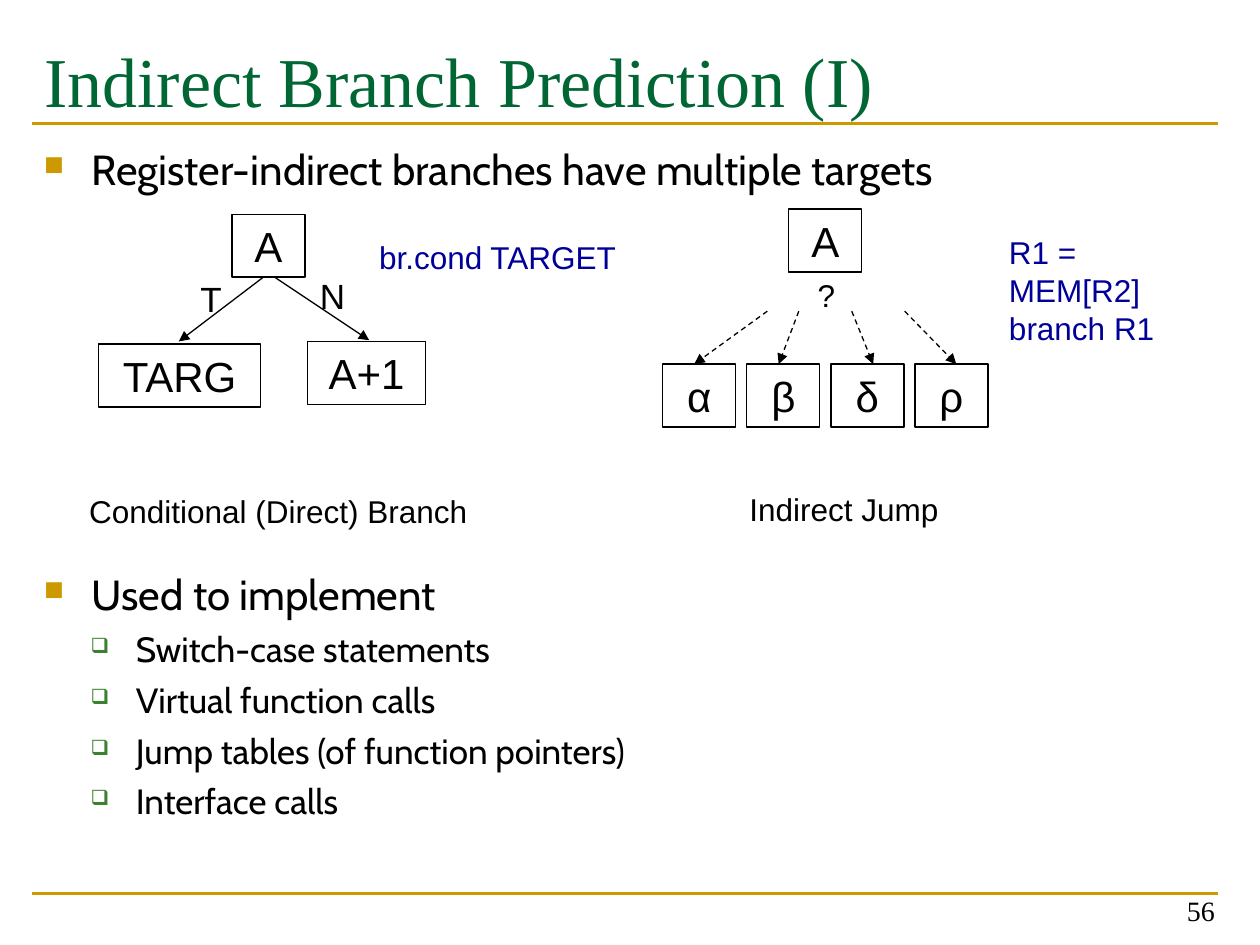
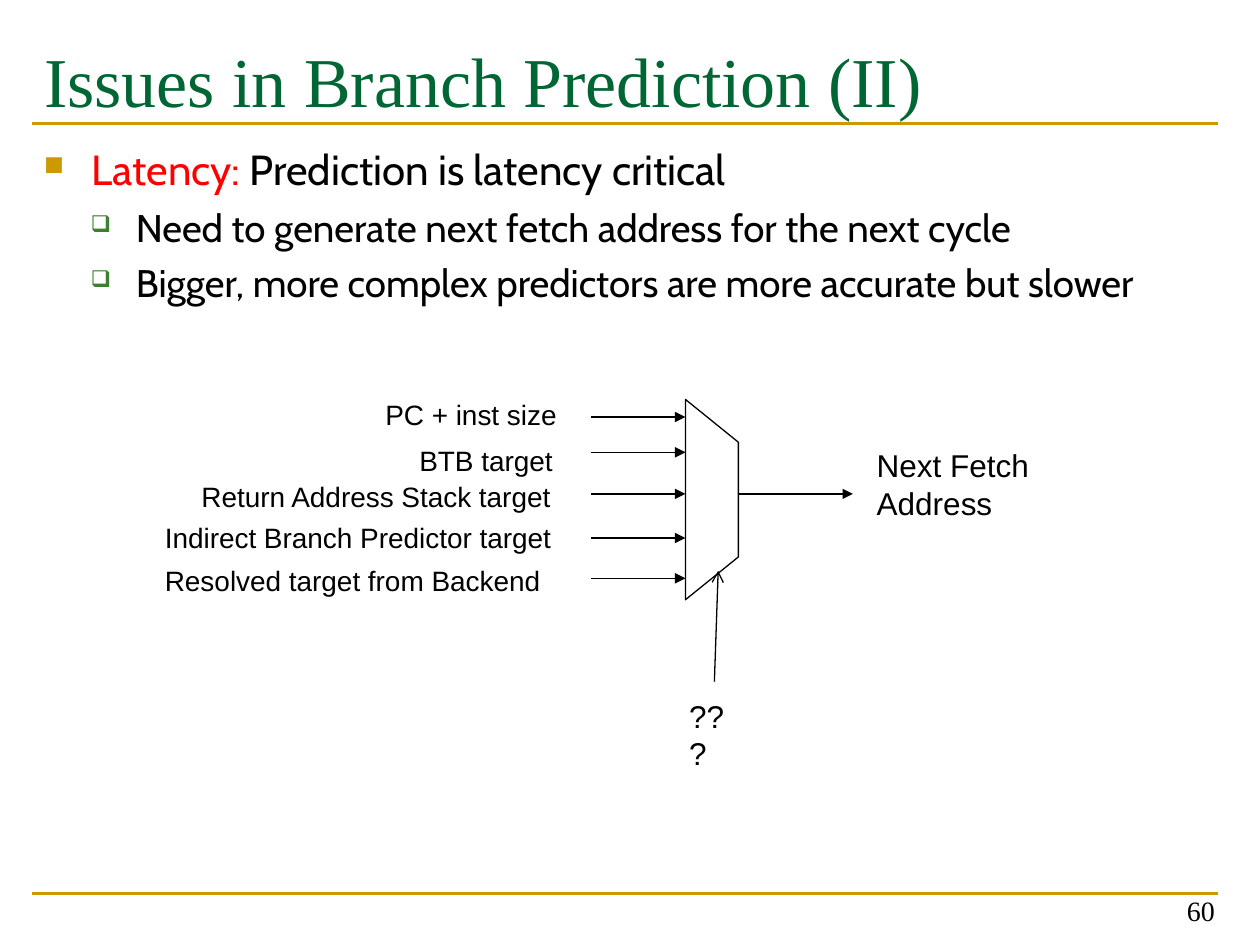
"""Builds two slides on branch prediction: indirect targets and predictor latency."""
from lxml import etree
from pptx import Presentation
from pptx.dml.color import RGBColor
from pptx.enum.dml import MSO_LINE
from pptx.enum.shapes import MSO_CONNECTOR, MSO_SHAPE
from pptx.enum.text import MSO_ANCHOR, PP_ALIGN
from pptx.oxml.ns import qn
from pptx.util import Inches, Pt

STRAIGHT = MSO_CONNECTOR.STRAIGHT
RECTANGLE = MSO_SHAPE.RECTANGLE
DASH = MSO_LINE.DASH
TOP, BOTTOM = MSO_ANCHOR.TOP, MSO_ANCHOR.BOTTOM
LEFT, CENTER, RIGHT = PP_ALIGN.LEFT, PP_ALIGN.CENTER, PP_ALIGN.RIGHT

COLUMNS, ROWS = 100, 75
SERIF, SANS, BODY = "Times New Roman", "Arial", "Cabin"
BLACK, WHITE, RED = "000000", "FFFFFF", "FF0000"
GOLD, TITLE_GREEN, CODE_BLUE = "CC9900", "006633", "000099"
BULLETS = (
    {"char": "■", "color": GOLD, "percent": 65, "margin": 0.38, "hang": 0.38},
    {"char": "❑", "color": "3B812F", "percent": 60, "margin": 0.73, "hang": 0.36},
)


def rgb(hex_color):
    """Turn a hex string into a colour."""
    return RGBColor.from_string(hex_color)


def assign(target, values):
    """Set every attribute named in values."""
    for name, value in values.items():
        setattr(target, name, value)


def add_xml(parent, tag, **attributes):
    """Append a DrawingML element and return it."""
    return etree.SubElement(parent, qn(tag), attributes)


class Deck:
    """Holds the shared style and the slide being drawn."""

    def __init__(self):
        """Open a presentation with a grid of columns and rows."""
        self.deck = Presentation()
        assign(self.deck, {"slide_width": Inches(10), "slide_height": Inches(7.5)})
        self.slide = None

    def place(self, column, row):
        """Convert a grid point to slide lengths."""
        return (round(column / COLUMNS * self.deck.slide_width),
                round(row / ROWS * self.deck.slide_height))

    def area(self, column, row, columns, rows):
        """Convert a grid area to left, top, width and height."""
        return self.place(column, row) + self.place(columns, rows)

    def add_text(self, paragraph, text, size, font=SANS, color=BLACK):
        """Add one run of text."""
        run = paragraph.add_run()
        run.text = text
        assign(run.font, {"size": Pt(size), "name": font})
        run.font.color.rgb = rgb(color)

    def fill_frame(self, frame, text, size, font=SANS, color=BLACK, align=LEFT,
                   spacing=None, wrap=False, anchor=TOP):
        """Put lines of text into a frame."""
        assign(frame, {"word_wrap": wrap, "vertical_anchor": anchor})
        for index, line in enumerate(text.split("\n")):
            paragraph = frame.add_paragraph() if index else frame.paragraphs[0]
            assign(paragraph, {"alignment": align, "line_spacing": spacing})
            self.add_text(paragraph, line, size, font, color)

    def start(self, title, number):
        """Begin a slide with title, rules and page number."""
        self.slide = self.deck.slides.add_slide(self.deck.slide_layouts[5])
        for row in (70.9, 9.8):
            self.line((2.5, row), (96.7, row), color=GOLD, width=1.5)
        heading = self.slide.shapes.title
        left, top, width, height = self.area(2.5, 1.7, 94.2, 11.7)
        assign(heading, {"left": left, "top": top, "width": width, "height": height})
        heading.text_frame.margin_top = Inches(0.13)
        self.fill_frame(heading.text_frame, title, 40, SERIF, TITLE_GREEN, wrap=True)
        self.label(number, (74.1, 69.1, 23.3, 5), 16, font=SERIF, align=RIGHT,
                   wrap=True, anchor=BOTTOM)

    def label(self, text, area, size=18, **style):
        """Add a text box."""
        box = self.slide.shapes.add_textbox(*self.area(*area))
        self.fill_frame(box.text_frame, text, size, **style)

    def bullets(self, items):
        """Add the body list from (level, size, space before, runs) items."""
        box = self.slide.shapes.add_textbox(*self.area(2.5, 10.9, 94.2, 56.8))
        frame = box.text_frame
        frame.word_wrap = True
        for index, (level, size, before, runs) in enumerate(items):
            paragraph = frame.add_paragraph() if index else frame.paragraphs[0]
            mark = BULLETS[level]
            properties = paragraph._p.get_or_add_pPr()
            properties.set("marL", str(Inches(mark["margin"])))
            properties.set("indent", str(-Inches(mark["hang"])))
            add_xml(add_xml(properties, "a:buClr"), "a:srgbClr", val=mark["color"])
            add_xml(properties, "a:buSzPct", val=str(mark["percent"] * 1000))
            add_xml(properties, "a:buChar", char=mark["char"])
            assign(paragraph, {"level": level, "space_before": Pt(before)})
            for text, color in runs:
                self.add_text(paragraph, text, size, BODY, color)

    def outline(self, shape, fill=None):
        """Give a shape a thin black outline and an optional fill."""
        shape.shadow.inherit = False
        if fill:
            shape.fill.solid()
            shape.fill.fore_color.rgb = rgb(fill)
        else:
            shape.fill.background()
        shape.line.color.rgb = rgb(BLACK)
        shape.line.width = Pt(0.75)

    def node(self, text, column, row, columns=5.8, fill=None):
        """Add a boxed block of the control flow."""
        box = self.slide.shapes.add_shape(
            RECTANGLE, *self.area(column, row, columns, 5))
        self.outline(box, fill)
        self.fill_frame(box.text_frame, text, 24, align=CENTER, wrap=True)

    def polygon(self, points):
        """Add a closed outline through grid points."""
        first, *rest = [self.place(*point) for point in points]
        builder = self.slide.shapes.build_freeform(*first)
        builder.add_line_segments(rest, close=True)
        self.outline(builder.convert_to_shape())

    def line(self, start, end, color=BLACK, width=0.75, dash=None, head=None):
        """Add a line, with an arrowhead at its end if head is given."""
        connector = self.slide.shapes.add_connector(
            STRAIGHT, *self.place(*start), *self.place(*end))
        connector.line.color.rgb = rgb(color)
        assign(connector.line, {"width": Pt(width), "dash_style": dash})
        properties = connector._element.spPr
        if head:
            add_xml(properties.find(qn("a:ln")), "a:tailEnd", type=head)
        add_xml(properties, "a:effectLst")


def indirect_branches(deck):
    """Draw the slide comparing direct and indirect branches."""
    deck.start("Indirect Branch Prediction (I)", "56")
    uses = ("Switch-case statements", "Virtual function calls",
            "Jump tables (of function pointers)", "Interface calls")
    deck.bullets([
        (0, 24, 0, [("Register-indirect branches have multiple targets", BLACK)]),
        (0, 24, 214, [("Used to implement", BLACK)]),
        *[(1, 20, 5, [(use, BLACK)]) for use in uses],
    ])

    deck.node("TARG", 7.8, 27.3, 12.9)
    deck.node("A+1", 24.4, 27.1, 9.4)
    deck.line((21.8, 22), (29.3, 27), head="triangle")
    deck.line((20.9, 22), (14.2, 27.1), head="triangle")
    deck.node("A", 18.4, 17, fill=WHITE)
    for outcome, area in (("T", (14.9, 19.9, 3.7, 6)), ("N", (24.3, 19.6, 4.2, 6))):
        deck.label(outcome, area, 20, align=CENTER, spacing=1.5)

    for index, target in enumerate("αβδρ"):
        deck.node(target, 52.6 + index * 6.67, 28.9)
    for start, end in ((60.9, 55.1), (63.4, 61.8), (67.6, 69.3), (71.8, 75.9)):
        deck.line((start, 24.7), (end, 28.9), dash=DASH, head="triangle")
    deck.node("A", 62.6, 16.6, fill=WHITE)
    deck.label("?", (63.9, 21.4, 3.4, 4))

    deck.label("Conditional (Direct) Branch", (6.1, 38.6, 32, 4))
    deck.label("Indirect Jump", (58.5, 38.4, 17, 4))
    deck.label("br.cond TARGET", (29.1, 18.4, 21.1, 4), color=CODE_BLUE)
    deck.label("R1 = MEM[R2]\nbranch R1", (79.1, 18, 18.4, 7), color=CODE_BLUE)


def prediction_latency(deck):
    """Draw the slide on the next fetch address multiplexer."""
    deck.start("Issues in Branch Prediction (II)", "60")
    needs = ("Need to generate next fetch address for the next cycle",
             "Bigger, more complex predictors are more accurate but slower")
    deck.bullets([
        (0, 24, 0, [("Latency: ", RED), ("Prediction is latency critical", BLACK)]),
        *[(1, 22, 5.5, [(need, BLACK)]) for need in needs],
    ])

    deck.polygon([(54.4, 31.7), (58.6, 35.1), (58.6, 44.2), (54.4, 47.6)])
    sources = (
        ("PC + inst size", 29.6, 31.1, 15.6, 33.1),
        ("BTB target", 32.3, 34.7, 12.6, 35.9),
        ("Return Address Stack target", 15, 37.6, 29.8, 39.2),
        ("Indirect Branch Predictor target", 12.1, 40.8, 32.7, 42.7),
        ("Resolved target from Backend", 12.1, 44.2, 31.8, 45.9),
    )
    for source, column, row, columns, input_row in sources:
        deck.label(source, (column, row, columns, 3.7), 16)
        deck.line((46.9, input_row), (54.4, input_row), head="triangle")
    deck.line((58.6, 39.2), (67.7, 39.2), head="triangle")
    deck.label("Next Fetch\nAddress", (68.6, 34.9, 14.1, 7))
    deck.line((56.7, 54.1), (57, 45.3), head="arrow")
    deck.label("???", (53.7, 54.8, 6.1, 4))


def main():
    """Build and save the deck."""
    lecture = Deck()
    indirect_branches(lecture)
    prediction_latency(lecture)
    lecture.deck.save("out.pptx")


if __name__ == "__main__":
    main()
